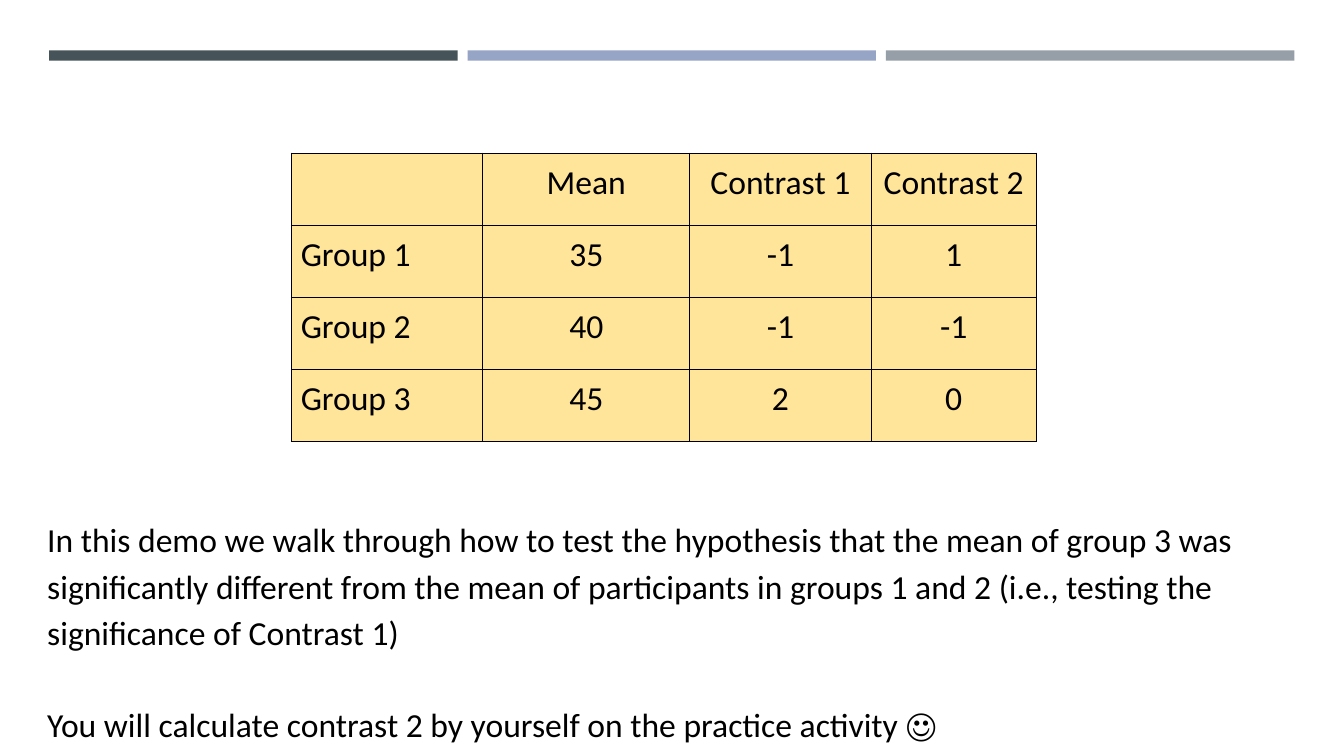
from dataclasses import dataclass

from lxml import etree
from pptx import Presentation
from pptx import util as u
from pptx.dml.color import RGBColor
from pptx.enum import shapes, text
from pptx.oxml import ns


@dataclass(frozen=True)
class Theme:
    font: str = "Calibri"
    size: int = 24
    ink: str = "000000"
    cell: str = "FFE599"
    bars: tuple = ("465359", "96A4C6", "969FA7")
    border: float = 0.75


THEME = Theme()
CONTRASTS = [
    ["", "Mean", "Contrast 1", "Contrast 2"],
    ["Group 1", "35", "-1", "1"],
    ["Group 2", "40", "-1", "-1"],
    ["Group 3", "45", "2", "0"],
]
EXPLANATION = [
    "In this demo we walk through how to test the hypothesis that the mean of "
    "group 3 was significantly different from the mean of participants in groups "
    "1 and 2 (i.e., testing the significance of Contrast 1)",
    "You will calculate contrast 2 by yourself on the practice activity ☺",
]


def set_format(target, values):
    for name, value in values.items():
        setattr(target, name, value)


def set_insets(target, inset):
    sides = ("left", "top", "right", "bottom")
    set_format(target, {f"margin_{side}": u.Cm(inset) for side in sides})


def write(paragraph, words, **layout):
    set_format(paragraph, layout)
    run = paragraph.add_run()
    run.text = words
    set_format(run.font, {"name": THEME.font, "size": u.Pt(THEME.size)})
    run.font.color.rgb = RGBColor.from_string(THEME.ink)


def add_bars(slide, left, top, width, height, gap=0.25):
    bar_width = (width - gap * (len(THEME.bars) - 1)) / len(THEME.bars)
    for index, color in enumerate(THEME.bars):
        bar = slide.shapes.add_shape(
            shapes.MSO_SHAPE.RECTANGLE, u.Cm(left + index * (bar_width + gap)),
            u.Cm(top), u.Cm(bar_width), u.Cm(height))
        bar.shadow.inherit = False
        bar.fill.solid()
        bar.fill.fore_color.rgb = RGBColor.from_string(color)
        bar.line.fill.background()


def add_borders(cell):
    """Draw all four edges, placed before the fill as the schema requires."""
    properties = cell._tc.get_or_add_tcPr()
    for index, side in enumerate(("lnL", "lnR", "lnT", "lnB")):
        line = etree.Element(ns.qn(f"a:{side}"), w=str(u.Pt(THEME.border)))
        fill = etree.SubElement(line, ns.qn("a:solidFill"))
        etree.SubElement(fill, ns.qn("a:srgbClr"), val=THEME.ink)
        properties.insert(index, line)


def add_contrast_table(slide, left, top, width, height):
    shares = (0.257, 0.278, 0.243, 0.222)
    frame = slide.shapes.add_table(
        len(CONTRASTS), len(shares), u.Cm(left), u.Cm(top), u.Cm(width), u.Cm(height))
    table = frame.table
    for column, share in zip(table.columns, shares):
        column.width = u.Cm(width * share)
    for row_index, row in enumerate(CONTRASTS):
        for column_index, words in enumerate(row):
            cell = table.cell(row_index, column_index)
            set_insets(cell, 0.24)
            cell.fill.solid()
            cell.fill.fore_color.rgb = RGBColor.from_string(THEME.cell)
            add_borders(cell)
            if words:
                align = text.PP_ALIGN.CENTER if column_index else text.PP_ALIGN.LEFT
                write(cell.text_frame.paragraphs[0], words, alignment=align)


def add_explanation(slide, left, top, width, height):
    box = slide.shapes.add_textbox(u.Cm(left), u.Cm(top), u.Cm(width), u.Cm(height))
    frame = box.text_frame
    frame.word_wrap = True
    set_insets(frame, 0.33)
    for index, words in enumerate(EXPLANATION):
        paragraph = frame.add_paragraph() if index else frame.paragraphs[0]
        write(paragraph, words, line_spacing=1.15, space_before=u.Pt(33 * index))


def main():
    presentation = Presentation()
    set_format(presentation, {"slide_width": u.Cm(33.87), "slide_height": u.Cm(19.05)})
    slide = presentation.slides.add_slide(presentation.slide_layouts[6])
    add_bars(slide, 1.24, 1.27, 31.38, 0.26)
    add_contrast_table(slide, 7.34, 3.86, 18.78, 7.26)
    add_explanation(slide, 0.86, 12.6, 30.96, 2.11)
    presentation.save("out.pptx")


if __name__ == "__main__":
    main()
